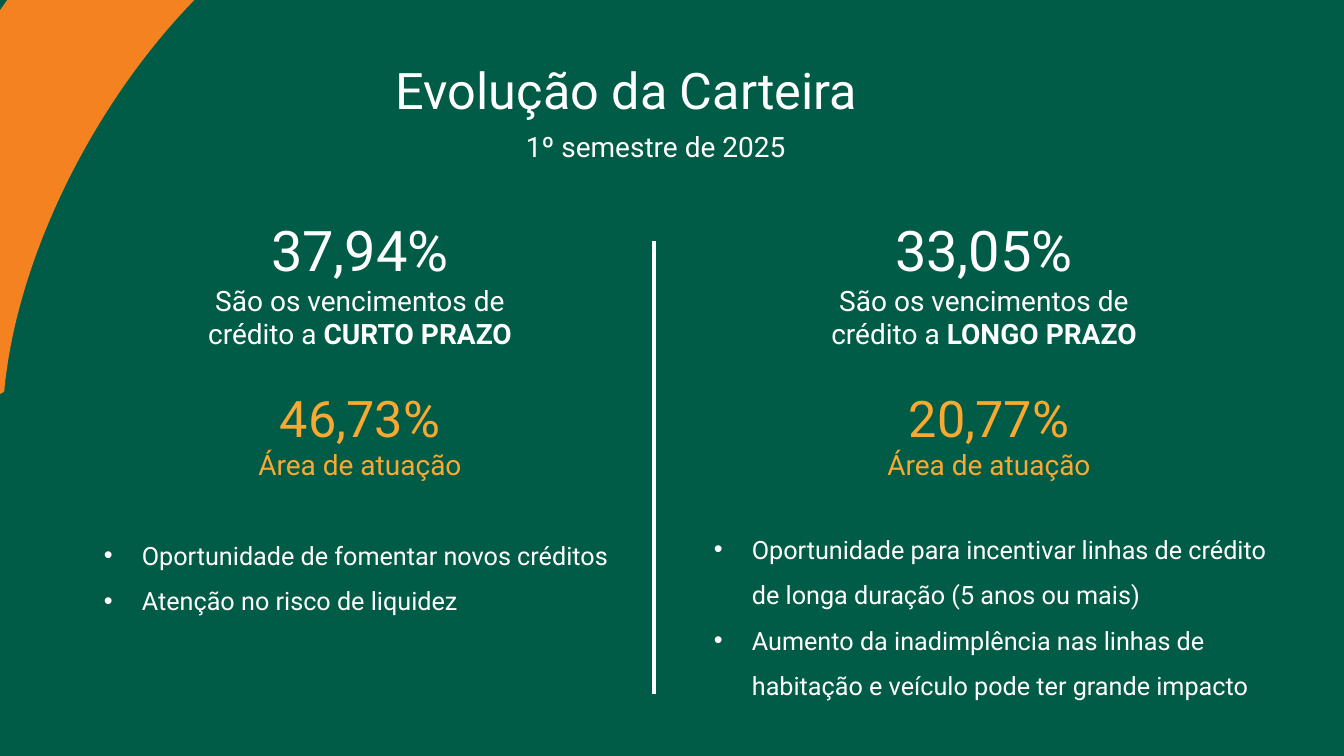
from lxml import etree
from pptx import Presentation
from pptx import util as u
from pptx.dml.color import RGBColor
from pptx.enum import shapes, text
from pptx.oxml.ns import qn

EMU_PER_PX = 914400 / 100.8
FONT = "Roboto"
COLORS = {"green": "005C46", "orange": "F58220", "amber": "F9A832", "white": "FFFFFF"}


def px(n):
    return u.Emu(round(n * EMU_PER_PX))


def rgb(name):
    return RGBColor.from_string(COLORS[name])


def add_run(p, content, size, color, bold=None):
    r = p.add_run()
    r.text = content
    for name, value in {"name": FONT, "size": u.Pt(size), "bold": bold}.items():
        setattr(r.font, name, value)
    r.font.color.rgb = rgb(color)


def add_text(s, box, paragraphs, color="white", **fmt):
    """Each paragraph is a list of (text, size[, bold]) runs."""
    tf = s.shapes.add_textbox(*map(px, box)).text_frame
    tf.word_wrap = True
    tf.auto_size = text.MSO_AUTO_SIZE.SHAPE_TO_FIT_TEXT
    for i, runs in enumerate(paragraphs):
        p = tf.add_paragraph() if i else tf.paragraphs[0]
        for name, value in fmt.items():
            setattr(p, name, value)
        for content, size, *bold in runs:
            add_run(p, content, size, color, *bold)
    return tf


def add_bullets(s, box, items):
    tf = add_text(s, box, [[(item, 18)] for item in items], line_spacing=1.5)
    for p in tf.paragraphs:
        pPr = p._p.get_or_add_pPr()
        pPr.set("marL", str(px(38)))
        pPr.set("indent", str(-px(38)))
        etree.SubElement(pPr, qn("a:buFont")).set("typeface", "Arial")
        etree.SubElement(pPr, qn("a:buChar")).set("char", "•")


def add_arc(s):
    sp = s.shapes.add_shape(shapes.MSO_SHAPE.BLOCK_ARC, *map(px, (-270, -109, 1079, 701)))
    sp.shadow.inherit = False
    sp.rotation = 300.1
    for i, value in enumerate((126.34, 202.16, 0.204)):
        sp.adjustments[i] = value
    sp.fill.solid()
    sp.fill.fore_color.rgb = rgb("orange")
    sp.line.color.rgb = rgb("orange")
    sp.line.width = u.Pt(1.5)


def add_divider(s, x, top, bottom):
    line = s.shapes.add_connector(shapes.MSO_CONNECTOR.STRAIGHT, *map(px, (x, top, x, bottom)))
    line.line.color.rgb = rgb("white")
    line.line.width = u.Pt(3)
    etree.SubElement(line._element.spPr, qn("a:effectLst"))


def add_term(s, term, share, share_x, area, area_x, bullet_box, bullets):
    """One column: share of maturities, operating area and remarks."""
    center = text.PP_ALIGN.CENTER
    add_text(s, (share_x, 211, 398, 146),
             [[(share, 40)],
              [("São os vencimentos de crédito a ", 20), (term, 20, True)]],
             alignment=center)
    add_text(s, (area_x, 382, 398, 105),
             [[(area, 36)], [("Área de atuação", 20)]], "amber", alignment=center)
    add_bullets(s, bullet_box, bullets)


def main():
    prs = Presentation()
    prs.slide_width, prs.slide_height = px(1344), px(756)
    s = prs.slides.add_slide(prs.slide_layouts[6])

    # Background and corner arc
    s.background.fill.solid()
    s.background.fill.fore_color.rgb = rgb("green")
    add_arc(s)

    # Heading
    add_text(s, (386, 54, 535, 72), [[("Evolução da Carteira", 36)]])
    add_text(s, (516, 125, 327, 44), [[("1º semestre de 2025", 20)]])

    # Short term | long term
    add_term(s, "CURTO PRAZO", "37,94%", 161, "46,73%", 161, (94, 520, 532, 181),
             ["Oportunidade de fomentar novos créditos",
              "Atenção no risco de liquidez"])
    add_divider(s, 654, 241, 694)
    add_term(s, "LONGO PRAZO", "33,05%", 785, "20,77%", 790, (704, 514, 576, 233),
             ["Oportunidade para incentivar linhas de crédito de longa duração (5 anos ou mais)",
              "Aumento da inadimplência nas linhas de habitação e veículo pode ter grande impacto"])

    prs.save("out.pptx")


if __name__ == "__main__":
    main()
